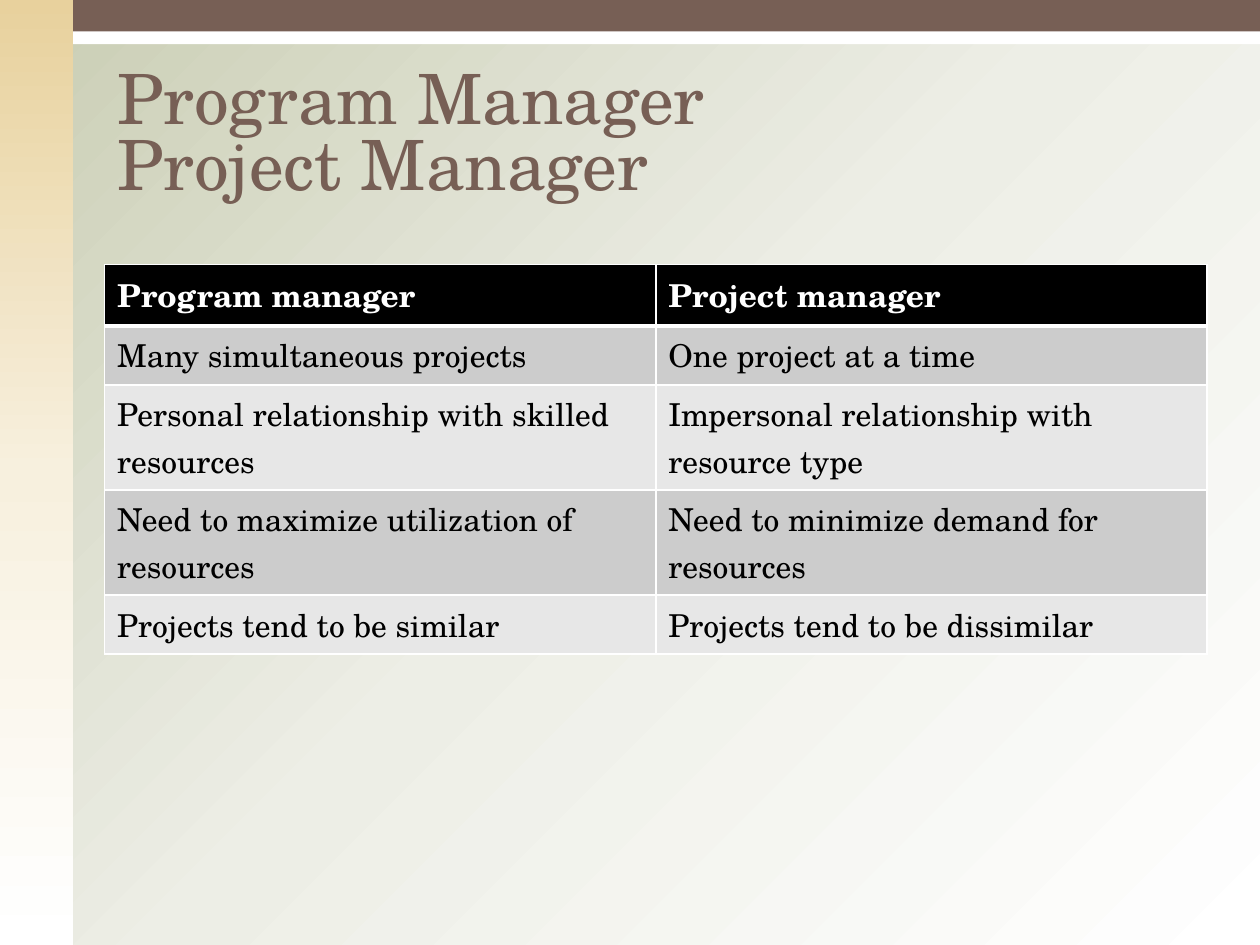
from copy import deepcopy

from lxml import etree
from pptx import Presentation
from pptx.dml.color import RGBColor
from pptx.enum import shapes, text
from pptx.oxml import ns
from pptx.util import Inches, Pt

FONT = "TeX Gyre Schola"
WHITE = RGBColor(0xFF, 0xFF, 0xFF)
BLACK = RGBColor(0, 0, 0)
BROWN = RGBColor(0x77, 0x5F, 0x55)
DARK = RGBColor(0xCC, 0xCC, 0xCC)
LIGHT = RGBColor(0xE7, 0xE7, 0xE7)
SAGE = (RGBColor(0xC9, 0xCD, 0xB3), RGBColor(0xED, 0xEE, 0xE6), WHITE)
SAND = (RGBColor(0xE8, 0xD1, 0x9D), RGBColor(0xF7, 0xF0, 0xDE), WHITE)

ROWS = [
    ("Program manager", "Project manager"),
    ("Many simultaneous projects", "One project at a time"),
    ("Personal relationship with skilled resources",
     "Impersonal relationship with resource type"),
    ("Need to maximize utilization of resources",
     "Need to minimize demand for resources"),
    ("Projects tend to be similar", "Projects tend to be dissimilar"),
]


def blend(fill, root, colors, angle):
    """Give fill, which lies inside the element root, three even stops."""
    fill.gradient()
    fill.gradient_angle = angle
    first = next(root.iter(ns.qn("a:gs")))
    first.addnext(deepcopy(first))
    for i, (stop, color) in enumerate(zip(fill.gradient_stops, colors)):
        stop.color.rgb = color
        stop.position = i / 2


def edge(cell, side, width):
    """Draw a white border on one side of a cell."""
    props = cell._tc.get_or_add_tcPr()
    line = etree.SubElement(props, ns.qn("a:ln" + side), w=str(Pt(width)))
    solid = etree.SubElement(line, ns.qn("a:solidFill"))
    etree.SubElement(solid, ns.qn("a:srgbClr"), val=str(WHITE))


prs = Presentation()
prs.slide_width, prs.slide_height = Inches(10), Inches(7.5)
slide = prs.slides.add_slide(prs.slide_layouts[5])
blend(slide.background.fill, slide.element, SAGE, 315)

# Frame bands
for box, color in [
    ((0, 0, 10, 0.35), WHITE),
    ((0, 0, 0.58, 7.5), SAND),
    ((0.58, 0, 9.42, 0.25), BROWN),
]:
    band = slide.shapes.add_shape(
        shapes.MSO_SHAPE.RECTANGLE, *[Inches(n) for n in box])
    band.shadow.inherit = False
    band.line.fill.background()
    if color is SAND:
        blend(band.fill, band.element, color, 270)
    else:
        band.fill.solid()
        band.fill.fore_color.rgb = color

# Comparison table
grid = slide.shapes.add_table(
    len(ROWS), 2, Inches(0.83), Inches(2.1), Inches(8.75), Inches(2.05)).table
for r, row in enumerate(ROWS):
    head = r == 0
    for c, words in enumerate(row):
        cell = grid.cell(r, c)
        cell.text = words
        style = {"name": FONT, "size": Pt(18), "bold": head}
        font = cell.text_frame.paragraphs[0].runs[0].font
        for key, value in style.items():
            setattr(font, key, value)
        font.color.rgb = WHITE if head else BLACK
        for side in "LRTB":
            heavy = (head and side == "B") or (r == 1 and side == "T")
            edge(cell, side, 3 if heavy else 1)
        cell.fill.solid()
        cell.fill.fore_color.rgb = BLACK if head else (LIGHT, DARK)[r % 2]

# Title
title = slide.shapes.title
place = {"left": 0.83, "top": 0.42, "width": 8.75, "height": 1.25}
for key, value in place.items():
    setattr(title, key, Inches(value))
frame = title.text_frame
frame.text = "Program Manager\vProject Manager"
frame.word_wrap = True
frame.auto_size = text.MSO_AUTO_SIZE.NONE
frame.vertical_anchor = text.MSO_ANCHOR.BOTTOM
para = frame.paragraphs[0]
para.alignment = text.PP_ALIGN.LEFT
para.line_spacing = 0.8
for run in para.runs:
    run.font.name = FONT
    run.font.size = Pt(39.6)
    run.font.color.rgb = BROWN

prs.save("out.pptx")
